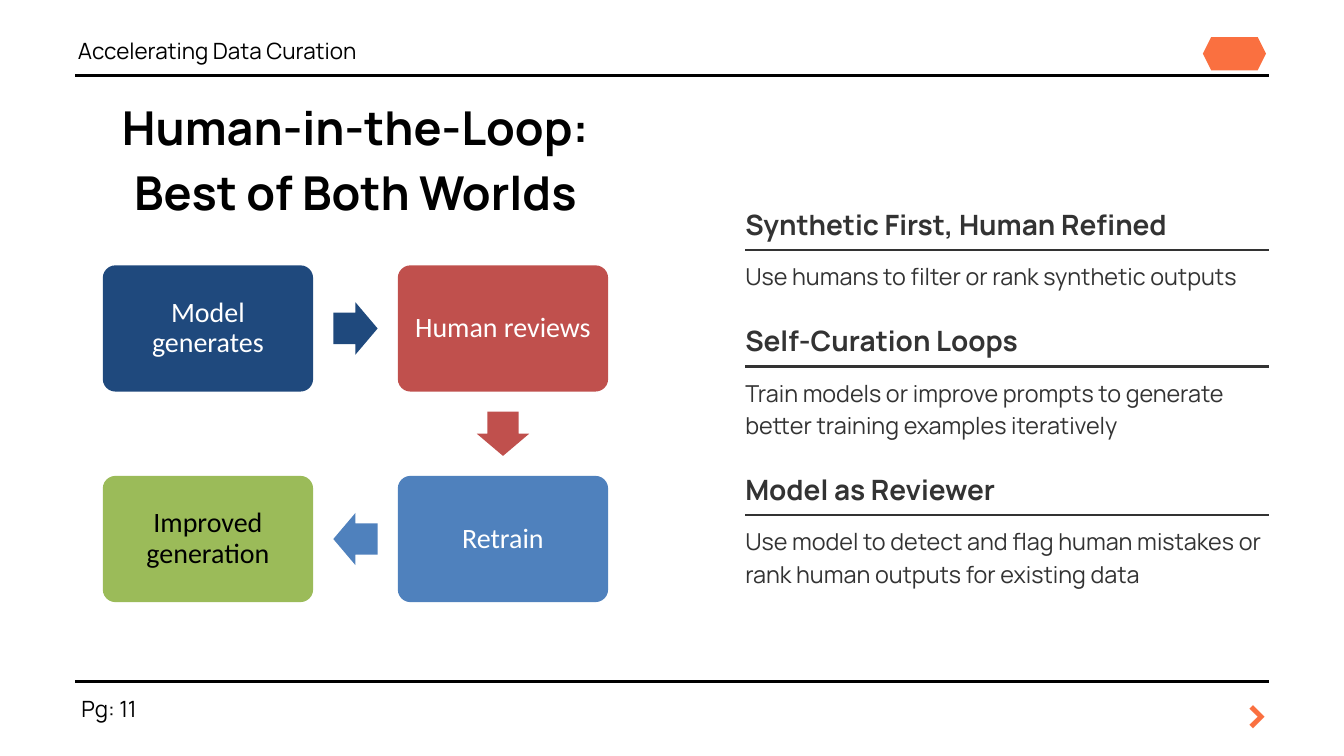
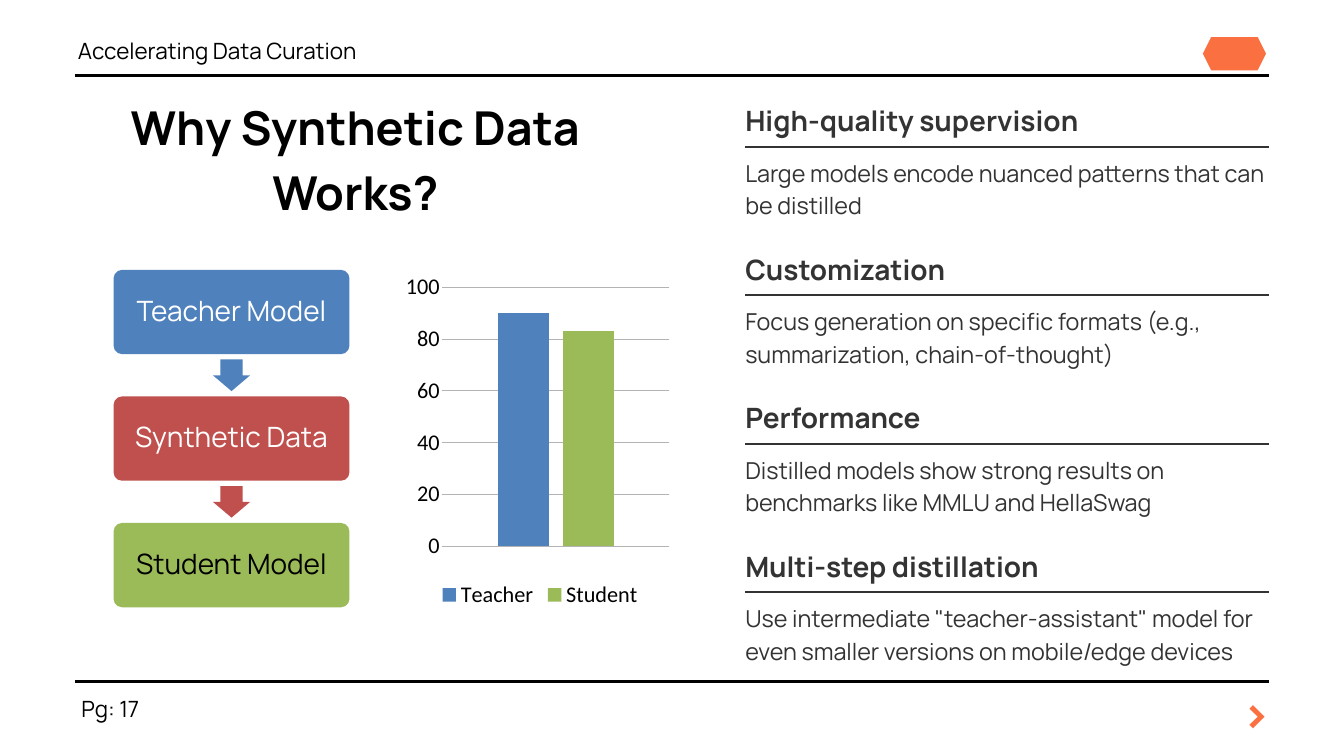
import math
from itertools import pairwise

from lxml import etree
from pptx import Presentation
from pptx import util as u
from pptx.chart.data import CategoryChartData
from pptx.dml.color import RGBColor
from pptx.enum import chart as charts, shapes, text
from pptx.oxml import parse_xml
from pptx.oxml.ns import nsdecls, qn

WIDTH, HEIGHT = u.Inches(20), u.Inches(11.25)
BLACK, WHITE, GREY, ORANGE = "000000", "FFFFFF", "333333", "FA7040"
NAVY, RED, BLUE, GREEN, GRID = "1F497D", "C0504D", "4F81BD", "9BBB59", "B3B3B3"
LEFT, RIGHT, SECTION_LEFT = 5.6, 94.4, 55.45
LINE_HEIGHT, SECTION_GAP = 4.26, 11.12
HEADER = "Accelerating Data Curation"

ALIGN = text.PP_ALIGN
STYLES = {
    "title": dict(size=50, spacing=70, bold=True, align=ALIGN.CENTER),
    "small": dict(size=24, spacing=33.6),
    "chevron": dict(size=52, spacing=72.8, bold=True, color=ORANGE, align=ALIGN.CENTER),
    "heading": dict(size=30, spacing=42, bold=True, color=GREY, align=ALIGN.JUSTIFY),
    "body": dict(size=25, spacing=35, color=GREY),
}


def across(share):
    return round(WIDTH * share / 100)


def down(share):
    return round(HEIGHT * share / 100)


def place(left, top, width, height):
    return across(left), down(top), across(width), down(height)


def rgb(color):
    return RGBColor.from_string(color)


def assign(target, **values):
    for name, value in values.items():
        setattr(target, name, value)


def style_font(font, size, color=BLACK, bold=False, name="Manrope"):
    assign(font, size=u.Pt(size), bold=bold, name=name)
    font.color.rgb = rgb(color)


def write(shape, words, size, spacing, align=ALIGN.LEFT, anchor=text.MSO_ANCHOR.TOP,
          inset=0, **font):
    margin = u.Inches(inset)
    frame = shape.text_frame
    assign(frame, text=words, word_wrap=True, auto_size=text.MSO_AUTO_SIZE.NONE,
           vertical_anchor=anchor, margin_left=margin, margin_right=margin,
           margin_top=margin, margin_bottom=margin)
    paragraph = frame.paragraphs[0]
    assign(paragraph, alignment=align,
           line_spacing=u.Pt(spacing) if spacing > 1 else spacing)
    style_font(paragraph.runs[0].font, size, **font)


def add_text(slide, words, style, *box):
    write(slide.shapes.add_textbox(*place(*box)), words, **STYLES[style])


def add_rule(slide, left, right, top, color, weight):
    rule = slide.shapes.add_connector(shapes.MSO_CONNECTOR.STRAIGHT, across(left),
                                      down(top), across(right), down(top))
    rule.line.color.rgb = rgb(color)
    rule.line.width = u.Pt(weight)
    etree.SubElement(rule._element.spPr, qn("a:effectLst"))


def add_block(slide, kind, box, color, adjustments=()):
    block = slide.shapes.add_shape(kind, *place(*box))
    block.shadow.inherit = False
    block.fill.solid()
    block.fill.fore_color.rgb = rgb(color)
    block.line.fill.background()
    for index, value in enumerate(adjustments):
        block.adjustments[index] = value
    return block


def add_framed_slide(presentation, title, page):
    slide = presentation.slides.add_slide(presentation.slide_layouts[5])
    for top in (10, 90.2):
        add_rule(slide, LEFT, RIGHT, top, BLACK, 3)
    add_block(slide, shapes.MSO_SHAPE.HEXAGON, (89.5, 4.9, 4.7, 4.4), ORANGE)
    add_text(slide, HEADER, "small", 5.8, 4.27, 83.5, 3.9)
    add_text(slide, f"Pg: {page}", "small", 6.05, 91.4, 5.65, 3.9)
    add_text(slide, ">", "chevron", 92.3, 89.15, 2.05, 8.7)
    left, top, width, height = place(LEFT, 11.8, 41.7, 16.8)
    assign(slide.shapes.title, left=left, top=top, width=width, height=height)
    write(slide.shapes.title, title, **STYLES["title"])
    return slide


def add_sections(slide, top, sections):
    width = RIGHT - SECTION_LEFT
    for heading, body, lines in sections:
        add_text(slide, heading, "heading", SECTION_LEFT, top, width, 4.9)
        add_rule(slide, SECTION_LEFT, RIGHT, top + 6.4, GREY, 2.25)
        add_text(slide, body, "body", SECTION_LEFT, top + 7.4, width, LINE_HEIGHT * lines)
        top += SECTION_GAP + LINE_HEIGHT * lines


def add_flow(slide, origin, card_size, pitch, arrow_width, font, cards):
    width, height = card_size
    centres = []
    for words, column, row, color in cards:
        left, top = origin[0] + column * pitch[0], origin[1] + row * pitch[1]
        card = add_block(slide, shapes.MSO_SHAPE.ROUNDED_RECTANGLE,
                         (left, top, width, height), color, [0.1])
        write(card, words, 30, 0.9, ALIGN.CENTER, text.MSO_ANCHOR.MIDDLE, 0.16,
              color=BLACK if color == GREEN else WHITE, name=font)
        centres.append((left + width / 2, top + height / 2))
    arrow_height = arrow_width * 1.18 * WIDTH / HEIGHT
    for (start, end), card in zip(pairwise(centres), cards):
        box = ((start[0] + end[0] - arrow_width) / 2,
               (start[1] + end[1] - arrow_height) / 2, arrow_width, arrow_height)
        arrow = add_block(slide, shapes.MSO_SHAPE.RIGHT_ARROW, box, card[-1], [0.6, 0.5])
        arrow.rotation = math.degrees(math.atan2(end[1] - start[1], end[0] - start[0]))


def set_plot_area(chart, **shares):
    values = "".join(f'<c:{key} val="{value}"/>' for key, value in shares.items())
    layout = parse_xml(
        f'<c:layout {nsdecls("c")}><c:manualLayout><c:layoutTarget val="inner"/>'
        f'<c:xMode val="edge"/><c:yMode val="edge"/>{values}</c:manualLayout></c:layout>')
    plot_area = chart._chartSpace.chart.plotArea
    for old in plot_area.findall(qn("c:layout")):
        plot_area.remove(old)
    plot_area.insert(0, layout)


def add_score_chart(slide, box, scores):
    data = CategoryChartData()
    data.categories = ["1"]
    for name, value, _ in scores:
        data.add_series(name, [value])
    chart = slide.shapes.add_chart(charts.XL_CHART_TYPE.COLUMN_CLUSTERED,
                                   *place(*box), data).chart
    assign(chart, has_title=False, has_legend=True)
    style_font(chart.font, 24, name="Calibri")
    assign(chart.legend, position=charts.XL_LEGEND_POSITION.BOTTOM, include_in_layout=False)
    chart.category_axis.visible = False
    axis = chart.value_axis
    assign(axis, minimum_scale=0, maximum_scale=100, major_unit=20,
           major_tick_mark=charts.XL_TICK_MARK.NONE)
    axis.format.line.fill.background()
    grid = axis.major_gridlines.format.line
    grid.color.rgb = rgb(GRID)
    grid.width = u.Pt(0.75)
    plot = chart.plots[0]
    assign(plot, gap_width=219, overlap=-27, vary_by_categories=False)
    for series, (_, _, color) in zip(plot.series, scores):
        series.format.fill.solid()
        series.format.fill.fore_color.rgb = rgb(color)
    set_plot_area(chart, x=0.13, y=0.12, w=0.86, h=0.7)


def add_human_loop(presentation):
    slide = add_framed_slide(presentation, "Human-in-the-Loop: Best of Both Worlds", 11)
    add_sections(slide, 26.7, [
        ("Synthetic First, Human Refined",
         "Use humans to filter or rank synthetic outputs", 1),
        ("Self-Curation Loops",
         "Train models or improve prompts to generate better training examples iteratively", 2),
        ("Model as Reviewer",
         "Use model to detect and flag human mistakes or rank human outputs for existing data", 2),
    ])
    add_flow(slide, (7.65, 35.1), (15.65, 16.7), (21.95, 27.85), 3.3, "Calibri", [
        ("Model generates", 0, 0, NAVY),
        ("Human reviews", 1, 0, RED),
        ("Retrain", 1, 1, BLUE),
        ("Improved generation", 0, 1, GREEN),
    ])


def add_synthetic_data(presentation):
    slide = add_framed_slide(presentation, "Why Synthetic Data Works?", 17)
    add_sections(slide, 13, [
        ("High-quality supervision",
         "Large models encode nuanced patterns that can be distilled", 2),
        ("Customization",
         "Focus generation on specific formats (e.g., summarization, chain-of-thought)", 2),
        ("Performance",
         "Distilled models show strong results on benchmarks like MMLU and HellaSwag", 2),
        ("Multi-step distillation",
         'Use intermediate "teacher-assistant" model for even smaller versions '
         "on mobile/edge devices", 2),
    ])
    add_flow(slide, (8.45, 35.7), (17.55, 11.15), (0, 16.74), 2.35, "Manrope", [
        ("Teacher Model", 0, 0, BLUE),
        ("Synthetic Data", 0, 1, RED),
        ("Student Model", 0, 2, GREEN),
    ])
    add_score_chart(slide, (30.2, 32.1, 19.8, 49),
                    [("Teacher", 90, BLUE), ("Student", 83, GREEN)])


def main():
    presentation = Presentation()
    assign(presentation, slide_width=WIDTH, slide_height=HEIGHT)
    add_human_loop(presentation)
    add_synthetic_data(presentation)
    presentation.save("out.pptx")


if __name__ == "__main__":
    main()
